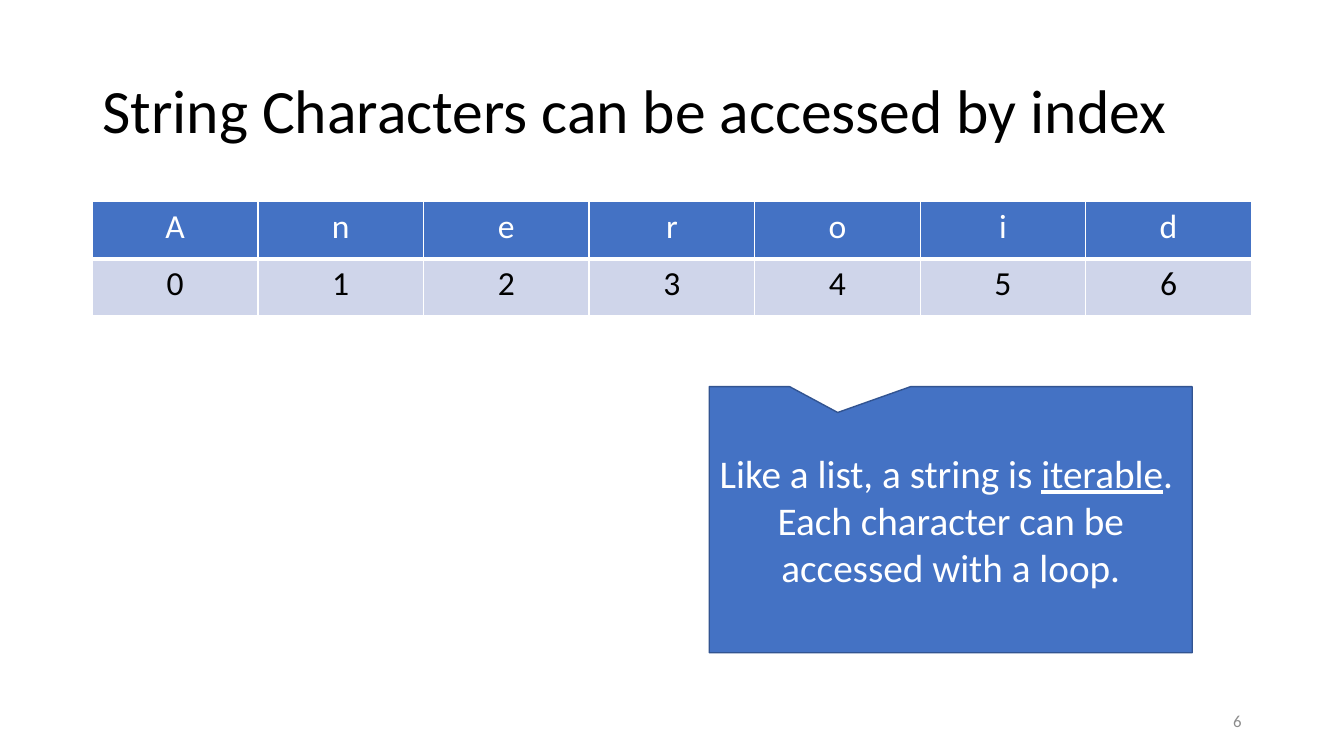
"""Build a slide showing that the characters of a string are accessed by index."""
from dataclasses import dataclass

import pptx
import pptx.dml.color
import pptx.enum.shapes
import pptx.enum.text
import pptx.oxml
import pptx.oxml.ns
import pptx.util

Pt = pptx.util.Pt
ALIGN = pptx.enum.text.PP_ALIGN
MIDDLE = pptx.enum.text.MSO_ANCHOR.MIDDLE

WORD = "Aneroid"
WHITE, BLACK, BLUE = "FFFFFF", "000000", "4472C4"


@dataclass(frozen=True)
class Box:
    left: float
    top: float
    width: float
    height: float

    def lengths(self) -> tuple:
        return Pt(self.left), Pt(self.top), Pt(self.width), Pt(self.height)


@dataclass(frozen=True)
class TableRow:
    values: list[str]
    fill: str
    color: str
    bottom_line: float


TITLE_BOX = Box(66, 28.75, 828, 104.4)
TABLE_BOX = Box(66, 144, 828, 81.8)
NUMBER_BOX = Box(678, 500.5, 216, 28.75)
CALLOUT_BOX = Box(506.6, 276.2, 345, 190)

ROWS = [
    TableRow(list(WORD), BLUE, WHITE, 3),
    TableRow([str(i) for i in range(len(WORD))], "CFD5EA", BLACK, 1),
]


def rgb(value: str) -> pptx.dml.color.RGBColor:
    return pptx.dml.color.RGBColor.from_string(value)


def format_text(tf, size: float, color: str, align) -> None:
    for p in tf.paragraphs:
        p.alignment = align
        for r in p.runs:
            r.font.name = "Calibri"
            r.font.size = Pt(size)
            r.font.bold = False
            r.font.color.rgb = rgb(color)


def add_border(cell, side: str, width: float) -> None:
    ns = pptx.oxml.ns.nsdecls("a")
    cell._tc.get_or_add_tcPr().append(pptx.oxml.parse_xml(
        f'<a:{side} {ns} w="{Pt(width)}"><a:solidFill>'
        f'<a:srgbClr val="{WHITE}"/></a:solidFill></a:{side}>'))


def add_title(slide) -> None:
    sp = slide.shapes.title
    sp.left, sp.top, sp.width, sp.height = TITLE_BOX.lengths()
    tf = sp.text_frame
    tf.text = "String Characters can be accessed by index"
    tf.vertical_anchor = MIDDLE
    tf.paragraphs[0].line_spacing = 0.9
    format_text(tf, 44, BLACK, ALIGN.LEFT)


def add_index_table(slide) -> None:
    frame = slide.shapes.add_table(len(ROWS), len(WORD), *TABLE_BOX.lengths())
    for i, row in enumerate(ROWS):
        for j, value in enumerate(row.values):
            cell = frame.table.cell(i, j)
            cell.text_frame.text = value
            format_text(cell.text_frame, 24, row.color, ALIGN.CENTER)
            for side in ("lnL", "lnR", "lnT"):
                add_border(cell, side, 1)
            add_border(cell, "lnB", row.bottom_line)
            cell.fill.solid()
            cell.fill.fore_color.rgb = rgb(row.fill)


def add_slide_number(slide) -> None:
    tf = slide.shapes.add_textbox(*NUMBER_BOX.lengths()).text_frame
    tf.word_wrap = True
    tf.vertical_anchor = MIDDLE
    tf.text = "6"
    format_text(tf, 12, "8C8C8C", ALIGN.RIGHT)


def add_callout(slide) -> None:
    sp = slide.shapes.add_shape(
        pptx.enum.shapes.MSO_SHAPE.RECTANGULAR_CALLOUT, *CALLOUT_BOX.lengths())
    sp.adjustments[0], sp.adjustments[1] = -0.234, -0.403
    sp.shadow.inherit = False
    sp.fill.solid()
    sp.fill.fore_color.rgb = rgb(BLUE)
    sp.line.color.rgb = rgb("325491")
    sp.line.width = Pt(1)
    tf = sp.text_frame
    tf.word_wrap = True
    tf.vertical_anchor = MIDDLE
    p = tf.paragraphs[0]
    for text in ("Like a list, a string is ", "iterable", ". "):
        r = p.add_run()
        r.text = text
        r.font.underline = text == "iterable"
    tf.add_paragraph().text = "Each character can be accessed with a loop."
    format_text(tf, 28, WHITE, ALIGN.CENTER)


def main() -> None:
    prs = pptx.Presentation()
    prs.slide_width, prs.slide_height = Pt(960), Pt(540)
    slide = prs.slides.add_slide(prs.slide_layouts.get_by_name("Title Only"))
    add_title(slide)
    add_index_table(slide)
    add_slide_number(slide)
    add_callout(slide)
    prs.save("out.pptx")


if __name__ == "__main__":
    main()
